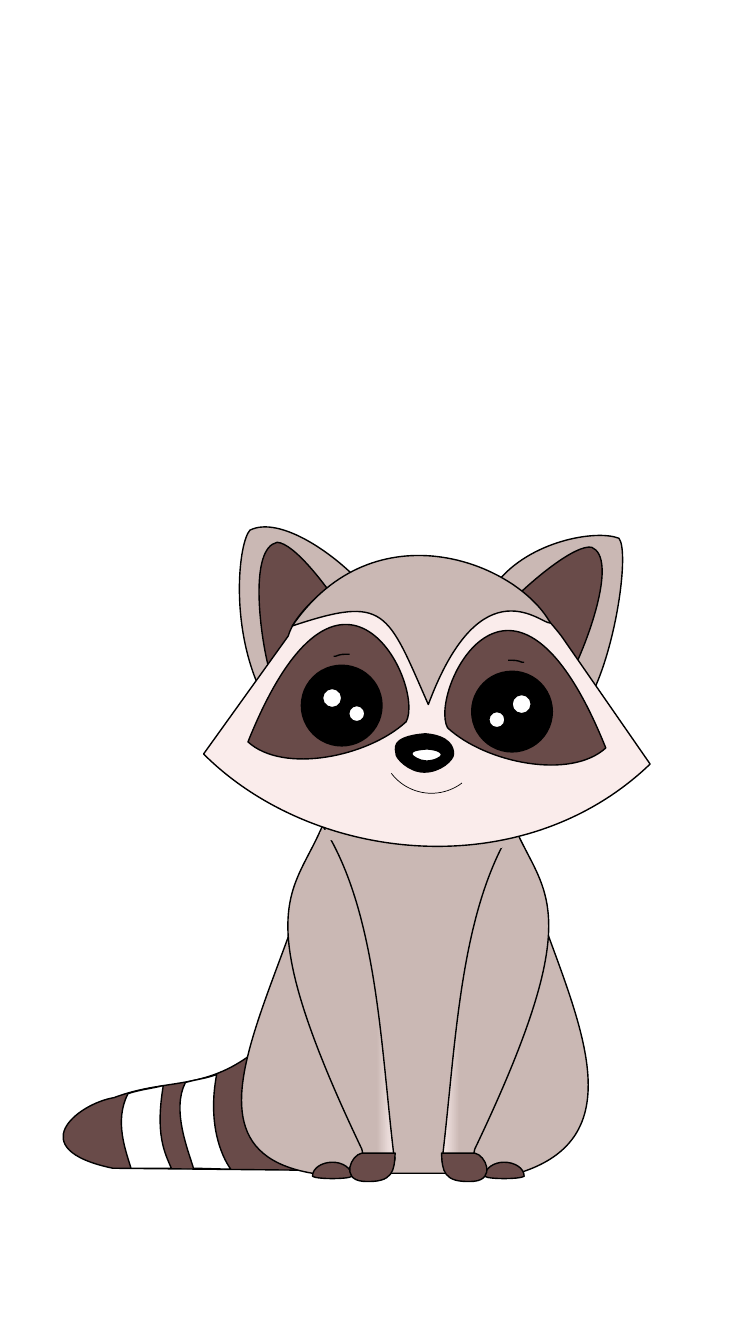
from lxml.etree import SubElement
from pptx import Presentation
from pptx.dml.color import RGBColor
from pptx.enum.shapes import MSO_SHAPE as Preset
from pptx.oxml.ns import qn
from pptx.util import Pt

UNIT = 0.72  # points in one step of the drawing grid
CURVE_STEPS = 24

FUR, DARK, CREAM, BLACK, WHITE = "CAB8B4", "694B49", "FAECEB", "000000", "FFFFFF"

# An outline starts at a point; a pair is a line, six numbers are a Bezier curve.
BEAD = [(29, 6), (29, 4, 27, 1, 15, 0), (-4, 1, 0, 5, 0, 6),
        (0, 7, 7, 12, 14, 12), (22, 12, 29, 8, 29, 6)]


def color(value):
    return RGBColor.from_string(value)


def move(outline, right, down):
    return [tuple(value + (down if index % 2 else right)
                  for index, value in enumerate(segment)) for segment in outline]


def mirror(outline, width, down=0):
    """Flip an outline left to right within the width, then lower it."""
    flipped = [tuple(value if index % 2 else -value
                     for index, value in enumerate(segment)) for segment in outline]
    return move(flipped, width, down)


def trace(outline):
    """Return the points along an outline."""
    points = [outline[0]]
    for segment in outline[1:]:
        if len(segment) == 2:
            points.append(segment)
            continue
        controls = [points[-1], segment[:2], segment[2:4], segment[4:]]
        for step in range(1, CURVE_STEPS + 1):
            t = step / CURVE_STEPS
            weights = ((1 - t) ** 3, 3 * t * (1 - t) ** 2, 3 * t * t * (1 - t), t ** 3)
            points.append(tuple(sum(weight * point[axis]
                                    for weight, point in zip(weights, controls))
                                for axis in (0, 1)))
    return points


def style(shape, fill, line, width=1):
    shape.shadow.inherit = False
    if fill:
        shape.fill.solid()
        shape.fill.fore_color.rgb = color(fill)
    else:
        shape.fill.background()
    if line:
        shape.line.color.rgb = color(line)
        shape.line.width = Pt(width)
    else:
        shape.line.fill.background()


def add_outline(slide, box, outline, fill, line=BLACK):
    """Size a freeform by the extremes of the outline, then give it true curves."""
    left, top = box
    across, down = zip(*trace(outline))
    corners = [(Pt(left + x * UNIT), Pt(top + y * UNIT))
               for x, y in ((min(across), min(down)), (max(across), max(down)))]
    builder = slide.shapes.build_freeform(*corners[0])
    builder.add_line_segments(corners[1:], close=False)
    shape = builder.convert_to_shape()
    curve_path = shape.element.xpath(".//a:path")[0]
    for child in list(curve_path):
        curve_path.remove(child)
    for index, segment in enumerate(outline):
        kind = "a:cubicBezTo" if len(segment) == 6 else "a:lnTo" if index else "a:moveTo"
        step = SubElement(curve_path, qn(kind))
        for x, y in zip(segment[::2], segment[1::2]):
            SubElement(step, qn("a:pt"), x=str(Pt(left + x * UNIT) - shape.left),
                       y=str(Pt(top + y * UNIT) - shape.top))
    if fill:
        SubElement(curve_path, qn("a:close"))
    style(shape, fill, line)
    return shape


def add_round(slide, box, x, y, size, fill, preset=Preset.OVAL, width=1):
    left, top = box
    shape = slide.shapes.add_shape(preset, Pt(left + x * UNIT), Pt(top + y * UNIT),
                                   Pt(size * UNIT), Pt(size * UNIT))
    style(shape, fill, BLACK, width)
    return shape


def draw_tail(slide, box):
    tail = [(234, 3), (158, 92, 120, 64, 53, 89), (17, 95, -39, 140, 52, 159),
            (247, 161), (234, 3)]
    wide_stripe = [(155, 66), (145, 70, 134, 71, 124, 74), (110, 101, 127, 142, 132, 159),
                   (169, 160), (159, 146, 146, 114, 155, 66)]
    narrow_stripe = [(102, 77), (90, 80, 79, 81, 67, 85), (53, 112, 65, 142, 70, 159),
                     (110, 159), (103, 143, 94, 125, 102, 77)]
    add_outline(slide, box, tail, DARK)
    for stripe in (wide_stripe, narrow_stripe):
        add_outline(slide, box, stripe, WHITE)


def draw_body(slide, box):
    width = 350
    torso = [(276, 12), (87, 4), (106, 188, -106, 414, 70, 444), (274, 444),
             (455, 389, 219, 143, 276, 12)]
    arm = [(76, 93), (82, 94), (54, 167, 1, 173, 119, 420), (130, 478, 157, 428, 151, 428),
           (137, 311, 134, 177, 76, 93)]
    foot = [(109, 447), (109, 439, 100, 433, 90, 433), (79, 433, 70, 439, 70, 447),
            (74, 450, 106, 450, 109, 447)]
    paw = [(152, 424), (119, 424), (108, 426, 98, 450, 120, 452),
           (151, 454, 151, 441, 152, 424)]
    add_outline(slide, box, torso, FUR)
    for outline, angle in ((arm, 180), (mirror(arm, width), 0)):
        shade_arm(add_outline(slide, box, outline, FUR), angle)
    for right, down in ((237, 110), (78, 102)):
        add_outline(slide, box, move(BEAD, right, down), FUR, line=None)
    for part in (foot, paw):
        add_outline(slide, box, part, DARK)
        add_outline(slide, box, mirror(part, width), DARK)


def shade_arm(arm, angle):
    arm.fill.gradient()
    arm.fill.gradient_angle = angle
    for stop, position, value in zip(arm.fill.gradient_stops, (0, 0.17), (CREAM, FUR)):
        stop.position = position
        stop.color.rgb = color(value)


def draw_head(slide, box):
    left_ear = [(48, 26), (78, 11, 135, 51, 163, 84), (57, 182), (28, 117, 37, 38, 48, 26)]
    right_ear = [(414, 34), (391, 25, 325, 37, 293, 78), (389, 185),
                 (413, 133, 424, 46, 414, 34)]
    left_inner_ear = [(75, 38), (92, 39, 124, 81, 140, 106), (66, 160),
                      (58, 128, 47, 44, 75, 38)]
    right_inner_ear = [(387, 43), (371, 40, 330, 74, 309, 95), (369, 164),
                       (384, 134, 413, 54, 387, 43)]
    face = [(357, 131), (238, -22, 98, 86, 86, 131), (2, 248),
            (111, 357, 319, 379, 445, 258), (357, 131)]
    forehead = [(346, 118), (312, 57, 171, 3, 90, 121), (183, 90, 184, 106, 225, 199),
                (278, 57, 339, 121, 346, 118)]
    nose = [(250, 248), (250, 241, 246, 230, 222, 228), (185, 231, 193, 244, 193, 248),
            (192, 251, 205, 266, 221, 266), (237, 266, 250, 254, 250, 248)]
    for outline, fill in ((left_ear, FUR), (right_ear, FUR), (left_inner_ear, DARK),
                          (right_inner_ear, DARK), (face, CREAM), (forehead, FUR),
                          (nose, BLACK), (move(BEAD, 209, 243), WHITE)):
        add_outline(slide, box, outline, fill)
    smile = add_round(slide, box, 178, 187, 100, None, Preset.ARC, 0.5)
    smile.rotation = 142.8
    draw_eyes(slide, box)


def draw_eyes(slide, box):
    """Draw the left eye, and the right one mirrored and a little lower."""
    width, drop = 447, 6
    patch = [(203, 216), (222, 180, 138, 7, 46, 236), (81, 268, 165, 251, 203, 216)]
    brow = [(147, 149), (140, 149, 138, 149, 133, 151), (132, 151, 132, 151, 131, 151)]
    rounds = [(99, 160, 80, BLACK), (146, 200, 16, WHITE), (120, 183, 19, WHITE)]
    for is_right in (False, True):
        add_outline(slide, box, mirror(patch, width, drop) if is_right else patch, DARK)
        for x, y, size, fill in rounds:
            if is_right:
                x, y = width - x - size, y + drop
            add_round(slide, box, x, y, size, fill)
        add_outline(slide, box, mirror(brow, width + 4, drop) if is_right else brow, None)


def main():
    deck = Presentation()
    deck.slide_width, deck.slide_height = Pt(540), Pt(960)
    slide = deck.slides.add_slide(deck.slide_layouts[6])
    draw_tail(slide, (43.2, 720))
    draw_body(slide, (172.8, 518.4))
    draw_head(slide, (144, 360))
    deck.save("out.pptx")


if __name__ == "__main__":
    main()
